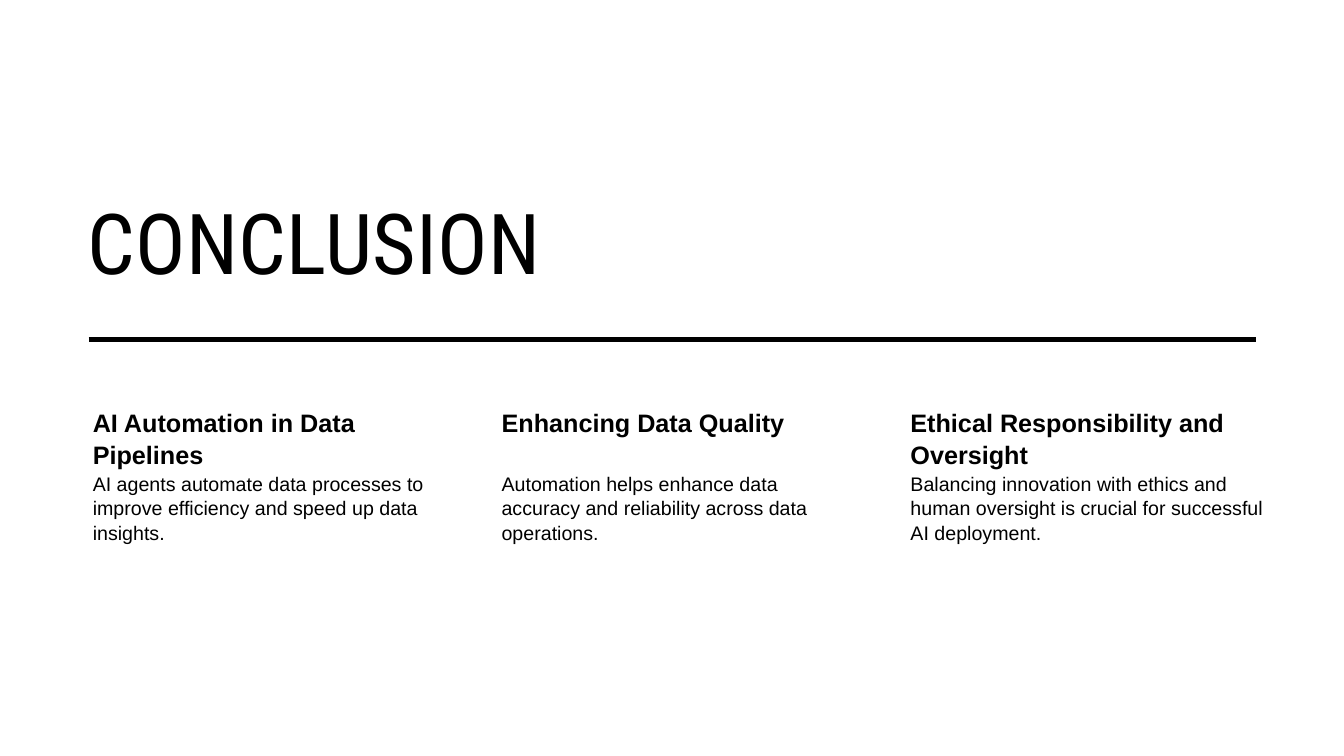
"""Build the conclusion slide: a title, a rule and three takeaways."""
from pptx import Presentation
from pptx.dml.color import RGBColor
from pptx.enum.shapes import MSO_CONNECTOR
from pptx.enum.text import MSO_ANCHOR
from pptx.oxml.ns import qn
from pptx.util import Inches, Pt
from lxml.etree import SubElement

TITLE = "CONCLUSION"
TAKEAWAYS = [
    ("AI Automation in Data Pipelines",
     "AI agents automate data processes to improve efficiency and speed up data insights."),
    ("Enhancing Data Quality",
     "Automation helps enhance data accuracy and reliability across data operations."),
    ("Ethical Responsibility and Oversight",
     "Balancing innovation with ethics and human oversight is crucial for successful AI deployment."),
]

THEME = {
    "ink": RGBColor(0, 0, 0),
    "title": {"name": "Roboto Condensed", "size": Pt(60)},
    "heading": {"name": "Arial", "size": Pt(18), "bold": True},
    "body": {"name": "Arial", "size": Pt(14)},
    "rule": Pt(3.5),
    "tracking": "30",
    "leading": 1.04,
}

LEFT = 0.77
COLUMN_WIDTH = 3.69
COLUMN_STEP = 4.055
HEADING_TOP, HEADING_HEIGHT = 4, 0.65
BODY_HEIGHT = 2.1
RULE_LEFT, RULE_RIGHT, RULE_TOP = 0.88, 12.46, 3.37


def add_text(page, text, style, area, insets, anchor=MSO_ANCHOR.TOP):
    box = page.shapes.add_textbox(*map(Inches, area))
    frame = box.text_frame
    sides = ("margin_left", "margin_top", "margin_right", "margin_bottom")
    settings = dict(zip(sides, map(Inches, insets)), word_wrap=True, vertical_anchor=anchor)
    for key, value in settings.items():
        setattr(frame, key, value)
    para = frame.paragraphs[0]
    span = para.add_run()
    span.text = text
    for key, value in THEME[style].items():
        setattr(span.font, key, value)
    span.font.color.rgb = THEME["ink"]
    return para, span


def add_title(page):
    para, span = add_text(page, TITLE, "title", (LEFT, 1.4, 8.74, 1.54),
                          (0.1, 0.05, 0.1, 0.05), MSO_ANCHOR.BOTTOM)
    span._r.get_or_add_rPr().set("spc", THEME["tracking"])


def add_rule(page):
    rule = page.shapes.add_connector(
        MSO_CONNECTOR.STRAIGHT,
        *map(Inches, (RULE_LEFT, RULE_TOP, RULE_RIGHT, RULE_TOP)))
    rule.line.color.rgb = THEME["ink"]
    rule.line.width = THEME["rule"]
    SubElement(rule._element.spPr, qn("a:effectLst"))


def add_takeaways(page):
    for index, (heading, body) in enumerate(TAKEAWAYS):
        left = LEFT + index * COLUMN_STEP
        rows = [
            (heading, "heading", HEADING_TOP, HEADING_HEIGHT, 0.03),
            (body, "body", HEADING_TOP + HEADING_HEIGHT, BODY_HEIGHT, 0.02),
        ]
        for text, style, top, height, inset in rows:
            para, span = add_text(page, text, style, (left, top, COLUMN_WIDTH, height),
                                  (0.15, inset, inset, inset))
            para.line_spacing = THEME["leading"]


def main():
    deck = Presentation()
    deck.slide_width, deck.slide_height = Inches(13.33), Inches(7.5)
    page = deck.slides.add_slide(deck.slide_layouts[6])
    add_title(page)
    add_takeaways(page)
    add_rule(page)
    deck.save("out.pptx")


if __name__ == "__main__":
    main()
